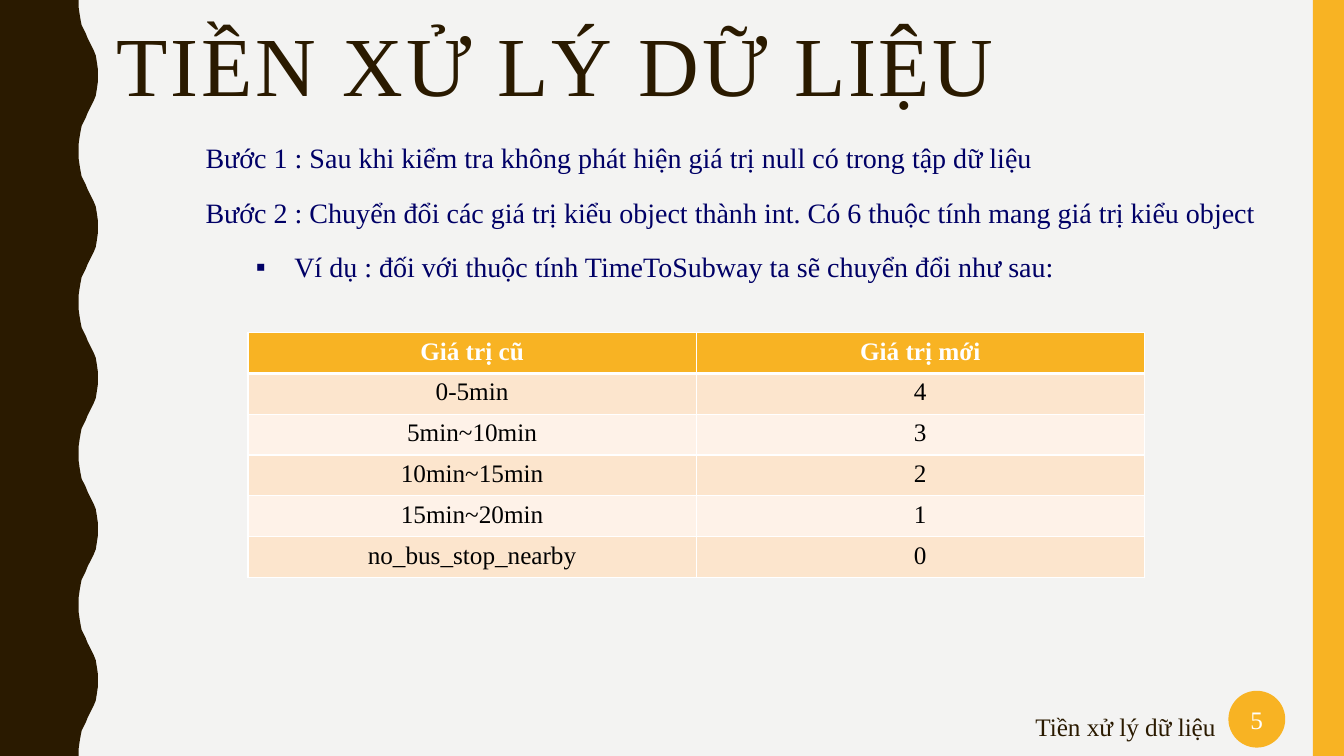
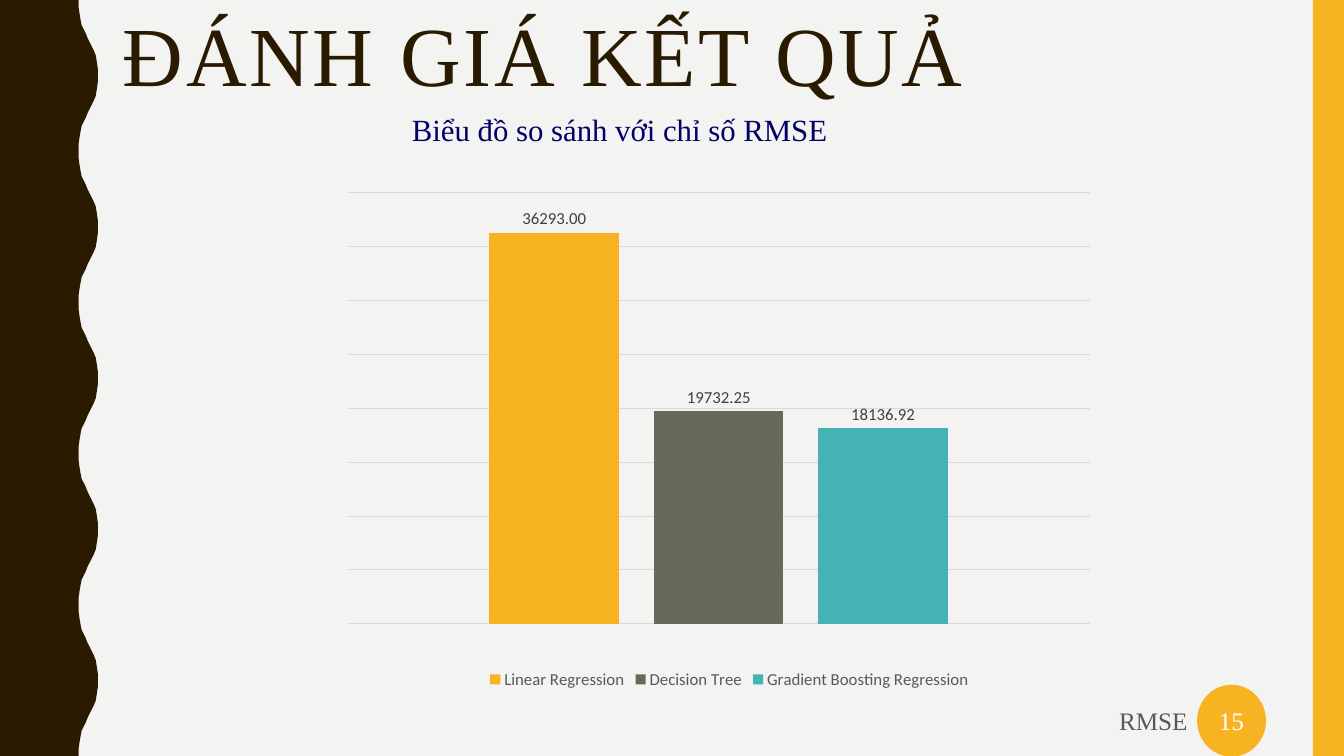
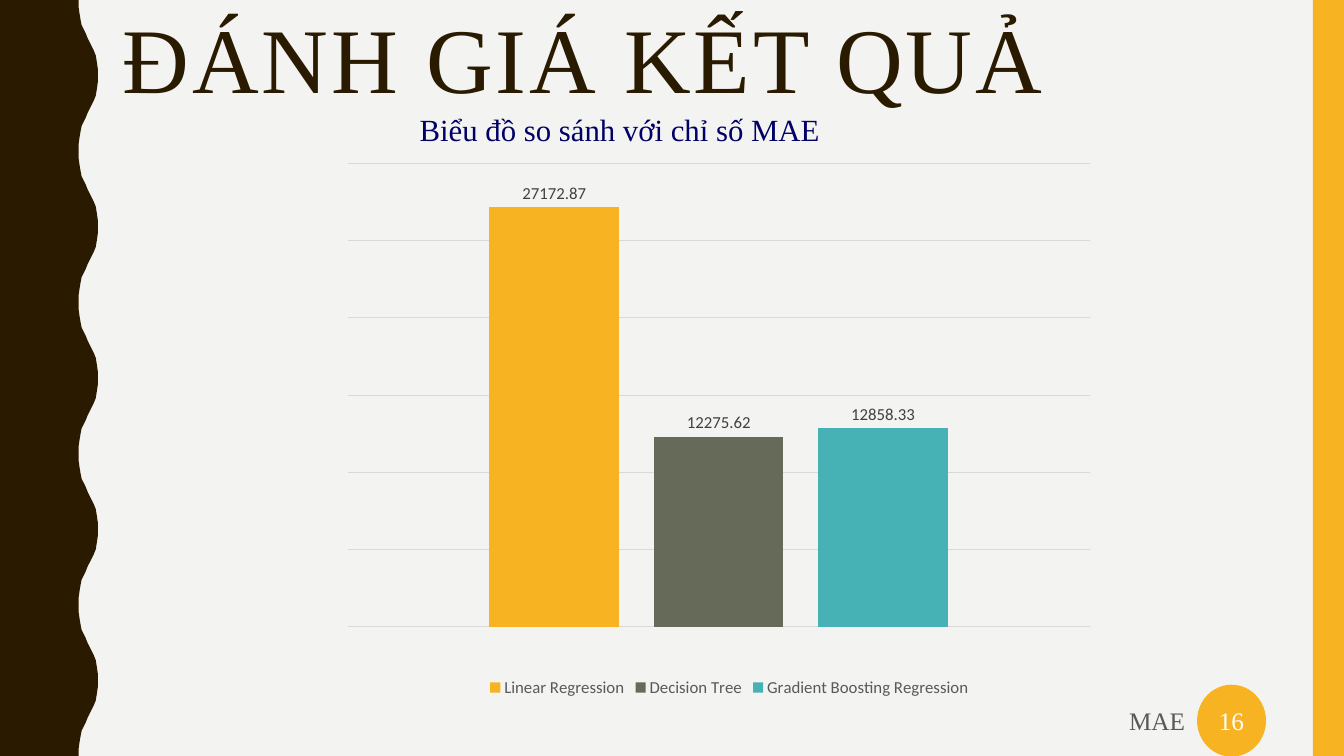
from lxml.etree import SubElement
from pptx import Presentation
from pptx.chart.data import CategoryChartData
from pptx.dml.color import RGBColor
from pptx.enum.chart import XL_CHART_TYPE, XL_LABEL_POSITION, XL_LEGEND_POSITION
from pptx.enum.shapes import MSO_SHAPE
from pptx.enum.text import MSO_ANCHOR, PP_ALIGN
from pptx.oxml import parse_xml
from pptx.oxml.ns import nsdecls, qn
from pptx.util import Inches, Pt

# Shared style
COLORS = {
    "background": "F3F3F2", "brown": "2A1A00", "amber": "F8B323", "navy": "000066",
    "olive": "656A59", "teal": "46B2B5", "white": "FFFFFF", "black": "000000",
    "band_dark": "FCE5CD", "band_light": "FEF2E8", "grid": "D9D9D9",
    "label": "404040", "gray": "595959",
}
TEXT_FONT, CHART_FONT = "Times New Roman", "Calibri"
WIDTH, HEIGHT = 13.33, 7.5
WAVE_PERIOD = 1.5
WAVE_HALF = [(0.78, 0), (0.78, 0.07), (0.79, 0.14), (0.8, 0.2), (0.81, 0.25),
             (0.83, 0.29), (0.85, 0.33), (0.87, 0.38), (0.89, 0.42), (0.91, 0.46),
             (0.93, 0.5), (0.95, 0.55), (0.96, 0.61), (0.97, 0.68)]

# Content
STEPS_TITLE = "TIỀN XỬ LÝ DỮ LIỆU"
STEPS = [
    ("Bước 1 : Sau khi kiểm tra không phát hiện giá trị null có trong tập dữ liệu", False),
    ("Bước 2 : Chuyển đổi các giá trị kiểu object thành int. "
     "Có 6 thuộc tính mang giá trị kiểu object", False),
    ("Ví dụ : đối với thuộc tính TimeToSubway ta sẽ chuyển đổi như sau:", True),
]
STEPS_FOOTER = "Tiền xử lý dữ liệu"
VALUE_ROWS = [
    ("Giá trị cũ", "Giá trị mới"),
    ("0-5min", "4"),
    ("5min~10min", "3"),
    ("10min~15min", "2"),
    ("15min~20min", "1"),
    ("no_bus_stop_nearby", "0"),
]
RESULT_TITLE = "ĐÁNH GIÁ KẾT QUẢ"
MODELS = [("Linear Regression", "amber"), ("Decision Tree", "olive"),
          ("Gradient Boosting Regression", "teal")]
RESULTS = [
    {"metric": "RMSE", "values": (36293, 19732.25, 18136.92), "maximum": 40000,
     "title_size": 60, "chart": (2.79, 1.36, 8.89, 5.52),
     "footer": (11, 6.95, 0.89, 0.4), "number": 15},
    {"metric": "MAE", "values": (27172.87, 12275.62, 12858.33), "maximum": 30000,
     "title_size": 66, "chart": (2.79, 1.03, 8.89, 5.93),
     "footer": (11.1, 6.95, 0.78, 0.4), "number": 16},
]


def color(name):
    return RGBColor.from_string(COLORS[name])


def box(left, top, width, height):
    return Inches(left), Inches(top), Inches(width), Inches(height)


def style_font(font, size, color_name, name=TEXT_FONT, bold=False):
    font.name, font.size, font.bold = name, Pt(size), bold
    font.color.rgb = color(color_name)


def add_run(paragraph, text, size, color_name, align=None, bold=False):
    run = paragraph.add_run()
    run.text = text
    style_font(run.font, size, color_name, bold=bold)
    paragraph.alignment = align
    return run


def add_text_frame(slide, place, anchor=MSO_ANCHOR.TOP):
    frame = slide.shapes.add_textbox(*box(*place)).text_frame
    frame.word_wrap = True
    frame.vertical_anchor = anchor
    return frame


def add_line(slide, place, text, size, color_name, align=None, spacing=None):
    paragraph = add_text_frame(slide, place).paragraphs[0]
    paragraph.line_spacing = spacing
    add_run(paragraph, text, size, color_name, align)


def add_title(slide, place, text, size, anchor=MSO_ANCHOR.TOP):
    paragraph = add_text_frame(slide, place, anchor).paragraphs[0]
    paragraph.line_spacing = 0.9
    run = add_run(paragraph, text, size, "brown")
    run.font._element.set("spc", "200")


def paint(shape, color_name, outlined=False):
    shape.shadow.inherit = False
    shape.fill.solid()
    shape.fill.fore_color.rgb = color(color_name)
    if outlined:
        shape.line.color.rgb = color(color_name)
        shape.line.width = Pt(1)
    else:
        shape.line.fill.background()


def add_number(slide, place, number):
    circle = slide.shapes.add_shape(MSO_SHAPE.OVAL, *box(*place))
    paint(circle, "amber", outlined=True)
    frame = circle.text_frame
    frame.word_wrap = False
    frame.vertical_anchor = MSO_ANCHOR.MIDDLE
    add_run(frame.paragraphs[0], str(number), 18, "white", PP_ALIGN.CENTER)


def add_slide(presentation):
    """Blank slide with the wavy left band and the right stripe."""
    slide = presentation.slides.add_slide(presentation.slide_layouts[6])
    crest = [(0.97, WAVE_PERIOD / 2)]
    falling = [(x, WAVE_PERIOD - y) for x, y in reversed(WAVE_HALF)]
    wave = [(x, y + turn * WAVE_PERIOD)
            for turn in range(round(HEIGHT / WAVE_PERIOD))
            for x, y in WAVE_HALF + crest + falling]
    builder = slide.shapes.build_freeform(0, 0)
    builder.add_line_segments([(Inches(x), Inches(y)) for x, y in wave + [(0, HEIGHT)]])
    paint(builder.convert_to_shape(), "brown")
    stripe = slide.shapes.add_shape(MSO_SHAPE.RECTANGLE, *box(13.02, 0, 0.31, HEIGHT))
    paint(stripe, "amber")
    return slide


def add_steps(slide):
    frame = add_text_frame(slide, (1.44, 1.18, 11.41, 2.12))
    for index, (text, bulleted) in enumerate(STEPS):
        paragraph = frame.add_paragraph() if index else frame.paragraphs[0]
        paragraph.line_spacing = 1.5
        paragraph.space_before = Pt(3)
        add_run(paragraph, text, 20, "navy")
        properties = paragraph._p.get_or_add_pPr()
        properties.set("marL", str(Inches(1.38 if bulleted else 0.5)))
        properties.set("indent", str(Inches(-0.38 if bulleted else 0)))
        if bulleted:
            SubElement(properties, qn("a:buFont")).set("typeface", "Arial")
            SubElement(properties, qn("a:buChar")).set("char", "▪")


def set_borders(cell, bottom):
    properties = cell._tc.get_or_add_tcPr()
    sides = (("lnL", 1), ("lnR", 1), ("lnT", 1), ("lnB", bottom))
    for position, (side, width) in enumerate(sides):
        properties.insert(position, parse_xml(
            f'<a:{side} {nsdecls("a")} w="{Pt(width)}"><a:solidFill>'
            f'<a:srgbClr val="{COLORS["white"]}"/></a:solidFill></a:{side}>'))


def add_value_table(slide):
    rows, columns = len(VALUE_ROWS), len(VALUE_ROWS[0])
    table = slide.shapes.add_table(rows, columns, *box(2.46, 3.3, 8.89, 2.43)).table
    for row, texts in enumerate(VALUE_ROWS):
        header = row == 0
        fill = "amber" if header else "band_dark" if row % 2 else "band_light"
        for column, text in enumerate(texts):
            cell = table.cell(row, column)
            cell.fill.solid()
            cell.fill.fore_color.rgb = color(fill)
            add_run(cell.text_frame.paragraphs[0], text, 18,
                    "white" if header else "black", PP_ALIGN.CENTER, bold=header)
            set_borders(cell, bottom=3 if header else 1)


def add_result_chart(slide, result):
    data = CategoryChartData(number_format="0.00")
    data.categories = ["1"]
    for (model, _), value in zip(MODELS, result["values"]):
        data.add_series(model, [value])
    chart = slide.shapes.add_chart(
        XL_CHART_TYPE.COLUMN_CLUSTERED, *box(*result["chart"]), data).chart
    style_font(chart.font, 10, "black", CHART_FONT)
    chart.has_title = False

    # Axes and legend
    value_axis = chart.value_axis
    value_axis.minimum_scale, value_axis.maximum_scale = 0, result["maximum"]
    value_axis.major_unit = 5000
    grid_line = value_axis.major_gridlines.format.line
    grid_line.color.rgb, grid_line.width = color("grid"), Pt(0.75)
    value_axis.visible = chart.category_axis.visible = False
    chart.has_legend = True
    chart.legend.position = XL_LEGEND_POSITION.BOTTOM
    chart.legend.include_in_layout = False
    style_font(chart.legend.font, 12, "gray", CHART_FONT)

    # Columns and value labels
    plot = chart.plots[0]
    plot.vary_by_categories = False
    plot.gap_width, plot.overlap = 219, -27
    for series, (_, fill) in zip(plot.series, MODELS):
        series.format.fill.solid()
        series.format.fill.fore_color.rgb = color(fill)
        labels = series.data_labels
        labels.show_value = True
        labels.position = XL_LABEL_POSITION.OUTSIDE_END
        labels.number_format, labels.number_format_is_linked = "0.00", False
        style_font(labels.font, 12, "label", CHART_FONT)

    # Fixed plot area
    area = chart._chartSpace.chart.plotArea
    for layout in area.findall(qn("c:layout")):
        area.remove(layout)
    settings = (("layoutTarget", "inner"), ("xMode", "edge"), ("yMode", "edge"),
                ("x", 0.074), ("y", 0.1), ("w", 0.828), ("h", 0.775))
    items = "".join(f'<c:{name} val="{value}"/>' for name, value in settings)
    area.insert(0, parse_xml(
        f'<c:layout {nsdecls("c")}><c:manualLayout>{items}</c:manualLayout></c:layout>'))


def build_steps_slide(presentation):
    slide = add_slide(presentation)
    add_title(slide, (1.06, 0.17, 10.08, 1.03), STEPS_TITLE, 60, MSO_ANCHOR.MIDDLE)
    add_number(slide, (12.19, 6.86, 0.55, 0.55), 5)
    add_steps(slide)
    add_line(slide, (10.17, 6.86, 2.03, 0.56), STEPS_FOOTER, 18, "brown", spacing=1.5)
    add_value_table(slide)


def build_result_slide(presentation, result):
    slide = add_slide(presentation)
    add_result_chart(slide, result)
    add_title(slide, (1.12, 0.09, 10.36, 1.34), RESULT_TITLE, result["title_size"])
    add_line(slide, (1.36, 1.05, 9.57, 0.47),
             f"Biểu đồ so sánh với chỉ số {result['metric']}", 22, "navy", PP_ALIGN.CENTER)
    add_line(slide, result["footer"], result["metric"], 18, "gray")
    add_number(slide, (11.88, 6.8, 0.67, 0.7), result["number"])


def main():
    presentation = Presentation()
    presentation.slide_width, presentation.slide_height = Inches(WIDTH), Inches(HEIGHT)
    background = presentation.slide_master.background.fill
    background.solid()
    background.fore_color.rgb = color("background")
    build_steps_slide(presentation)
    for result in RESULTS:
        build_result_slide(presentation, result)
    presentation.save("out.pptx")


if __name__ == "__main__":
    main()
